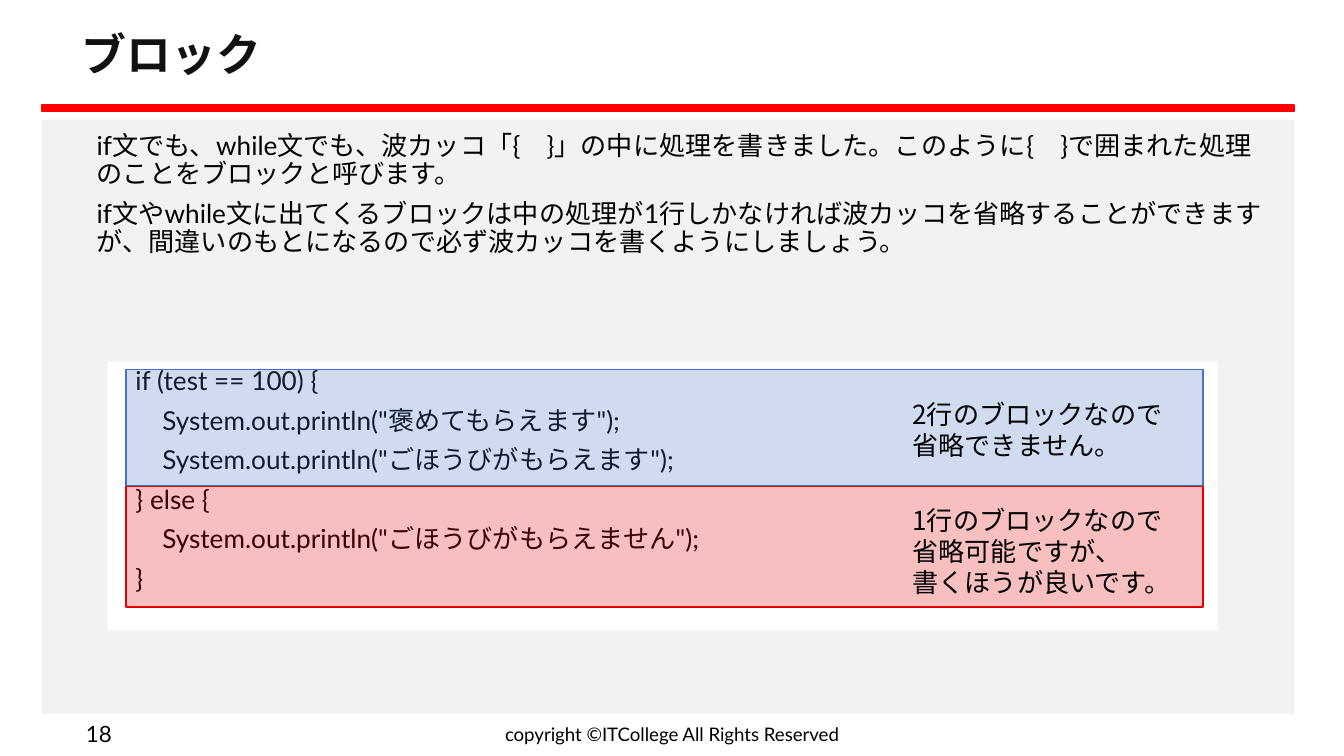
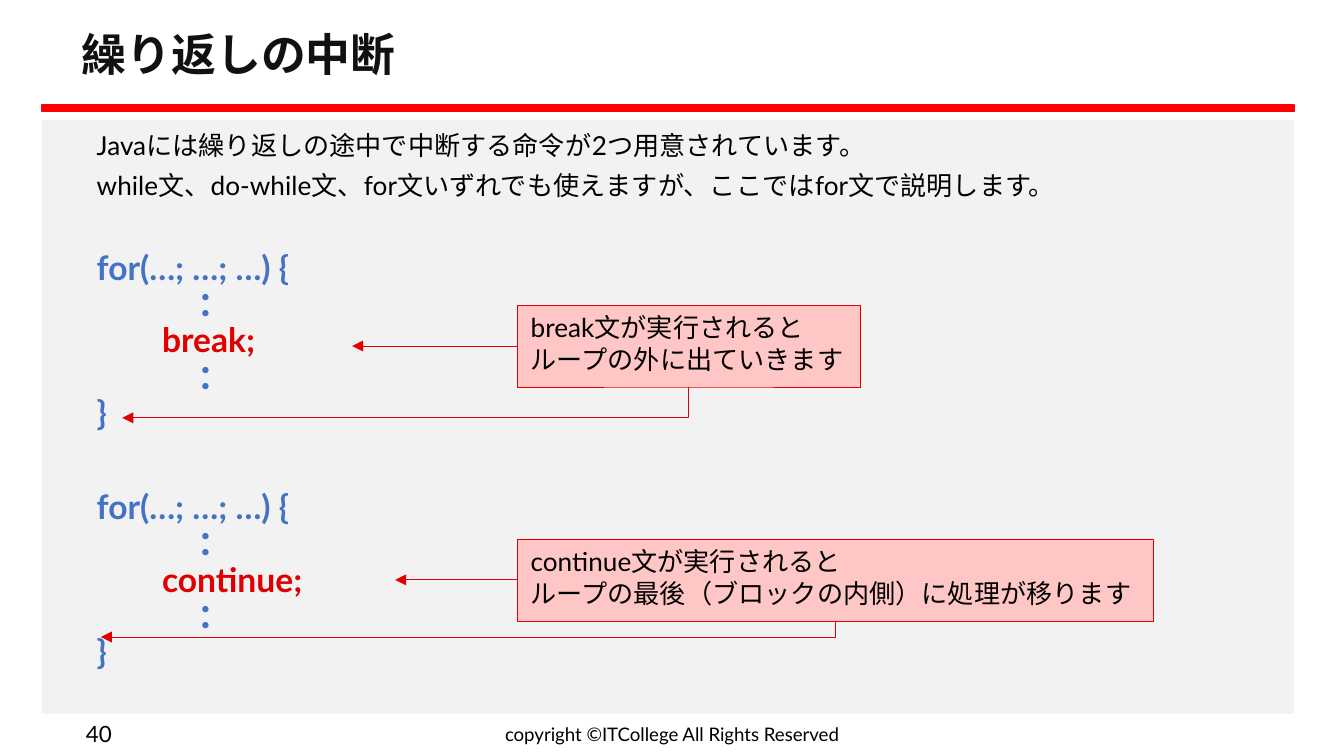
from lxml import etree
from pptx import Presentation
from pptx.dml.color import RGBColor
from pptx.enum.shapes import MSO_CONNECTOR, MSO_SHAPE
from pptx.enum.text import MSO_ANCHOR, MSO_AUTO_SIZE, PP_ALIGN
from pptx.oxml.ns import qn
from pptx.util import Inches, Pt

RECTANGLE = MSO_SHAPE.RECTANGLE
STRAIGHT, ELBOW = MSO_CONNECTOR.STRAIGHT, MSO_CONNECTOR.ELBOW
TOP, MIDDLE = MSO_ANCHOR.TOP, MSO_ANCHOR.MIDDLE
LEFT, CENTER, RIGHT = PP_ALIGN.LEFT, PP_ALIGN.CENTER, PP_ALIGN.RIGHT
NO_AUTOFIT = MSO_AUTO_SIZE.NONE

FONT, NOTE_FONT = "Lato", "Noto Sans CJK JP"
BLACK, WHITE, TITLE_INK = "000000", "FFFFFF", "111111"
BAND_RED, PANEL_GREY = "FF0000", "F2F2F2"
BLUE, RED, PINK = "4472C4", "E10000", "FFC6C6"
SIDE_LEFT = 1

BLOCK_TEXT = [
    "if文でも、while文でも、波カッコ「{　}」の中に処理を書きました。このように{　}で囲まれた処理のことをブロックと呼びます。",
    "if文やwhile文に出てくるブロックは中の処理が1行しかなければ波カッコを省略することができますが、間違いのもとになるので必ず波カッコを書くようにしましょう。",
]
BLOCK_CODE = [
    "if (test == 100) {",
    '    System.out.println("褒めてもらえます");',
    '    System.out.println("ごほうびがもらえます");',
    "} else {",
    '    System.out.println("ごほうびがもらえません");',
    "}",
]
LOOP_TEXT = [
    "Javaには繰り返しの途中で中断する命令が2つ用意されています。",
    "while文、do-while文、for文いずれでも使えますが、ここではfor文で説明します。",
]
LOOP_START = "for(…; …; …) {\n　　　：\n        "
LOOP_END = "　　　：\n}"


def rgb(value):
    """Turn a hex string into a colour."""
    return RGBColor.from_string(value)


def place(shape, left, top, width, height):
    """Move and size a shape, in inches."""
    shape.left, shape.top = Inches(left), Inches(top)
    shape.width, shape.height = Inches(width), Inches(height)


def style_run(run, size, color=BLACK, bold=False, font=FONT):
    """Set size, colour, weight and typefaces of a run."""
    run.font.size, run.font.bold = Pt(size), bold
    run.font.color.rgb = rgb(color)
    run.font.name = font
    etree.SubElement(run._r.get_or_add_rPr(), qn("a:ea")).set("typeface", FONT)


def write(frame, lines, size=14, color=BLACK, bold=False, font=FONT, align=LEFT,
          anchor=TOP, spacing=1.0, before=0, insets=(0.1, 0.05)):
    """Fill a text frame with evenly formatted paragraphs."""
    frame.text = "\n".join(lines)
    frame.word_wrap, frame.auto_size = True, NO_AUTOFIT
    frame.vertical_anchor = anchor
    frame.margin_left = frame.margin_right = Inches(insets[0])
    frame.margin_top = frame.margin_bottom = Inches(insets[1])
    for number, paragraph in enumerate(frame.paragraphs):
        paragraph.alignment, paragraph.line_spacing = align, spacing
        paragraph.space_before = Pt(before if number else 0)
        for run in paragraph.runs:
            style_run(run, size, color, bold, font)


def indent(paragraph):
    """Give a paragraph the shared left indent and no bullet."""
    properties = paragraph._p.get_or_add_pPr()
    properties.set("marL", str(Inches(0.11)))
    properties.set("indent", "0")
    etree.SubElement(properties, qn("a:buNone"))


def write_indented(frame, lines):
    """Write body or code paragraphs with the shared indent."""
    write(frame, lines, spacing=0.9, before=6)
    for paragraph in frame.paragraphs:
        indent(paragraph)


def add_box(slide, bounds, fill, line=None, weight=1, opacity=100):
    """Add a flat rectangle, optionally outlined or see-through."""
    box = slide.shapes.add_shape(RECTANGLE, *map(Inches, bounds))
    box.shadow.inherit = False
    box.fill.solid()
    box.fill.fore_color.rgb = rgb(fill)
    if opacity < 100:
        tint = box.element.spPr.find(qn("a:solidFill"))[0]
        etree.SubElement(tint, qn("a:alpha")).set("val", str(opacity * 1000))
    if line:
        box.line.color.rgb, box.line.width = rgb(line), Pt(weight)
    else:
        box.line.fill.background()
    return box


def add_label(slide, bounds, lines, **style):
    """Add a text box."""
    label = slide.shapes.add_textbox(*map(Inches, bounds))
    write(label.text_frame, lines, **style)


def add_arrow(slide, kind, begin, end, arrowhead):
    """Add a thin red connector with a triangle at one end."""
    arrow = slide.shapes.add_connector(kind, *map(Inches, begin + end))
    arrow.line.color.rgb, arrow.line.width = rgb(RED), Pt(0.5)
    properties = arrow.element.spPr
    etree.SubElement(properties.find(qn("a:ln")), qn(arrowhead)).set("type", "triangle")
    etree.SubElement(properties, qn("a:effectLst"))
    return arrow


def add_layout_bands(slide):
    """Place the grey panel and red rule behind everything on the layout."""
    panel = add_box(slide, (0.31, 0.89, 9.32, 4.42), PANEL_GREY)
    rule = add_box(slide, (0.31, 0.78, 9.32, 0.05), BAND_RED, BAND_RED)
    for position, band in enumerate((panel, rule), start=2):
        slide.slide_layout.shapes.element.insert(position, band.element)


def add_page(deck, title, number, body, body_height):
    """Add a slide with title, body text, copyright line and page number."""
    slide = deck.slides.add_slide(deck.slide_layouts[1])
    heading, content = slide.placeholders
    place(heading, 0.51, 0.13, 8.99, 0.59)
    write(heading.text_frame, [title], size=24, color=TITLE_INK, bold=True,
          anchor=MIDDLE, spacing=0.9, insets=(0.1, 0.1))
    place(content, 0.51, 0.94, 8.99, body_height)
    write_indented(content.text_frame, body)
    add_label(slide, (3.31, 5.32, 3.38, 0.28), ["copyright ©ITCollege All Rights Reserved"],
              size=10, align=CENTER, anchor=MIDDLE)
    add_label(slide, (0.24, 5.32, 0.69, 0.28), [str(number)],
              size=12, align=RIGHT, anchor=MIDDLE)
    return slide, content.text_frame


def add_code_part(listing, code, color):
    """Append coloured code, with a line break at each newline."""
    for number, line in enumerate(code.split("\n")):
        if number:
            listing.add_line_break()
        if line:
            run = listing.add_run()
            run.text = line
            style_run(run, 18, color, bold=True)


def add_loop_code(frame, statement, before):
    """Append a loop listing whose jump statement is red."""
    listing = frame.add_paragraph()
    listing.alignment, listing.line_spacing = LEFT, 0.9
    listing.space_before = Pt(before)
    indent(listing)
    add_code_part(listing, LOOP_START, BLUE)
    add_code_part(listing, statement + "\n", RED)
    add_code_part(listing, LOOP_END, BLUE)


def add_callout(slide, top, width, lines, statement_x, target):
    """Explain a jump: arrows to its statement and to where it leads."""
    left, height = 3.85, 0.61
    callout = add_box(slide, (left, top, width, height), PINK, RED, 0.25)
    write(callout.text_frame, lines)
    elbow = add_arrow(slide, ELBOW, target, (left + width / 2, top + height), "a:headEnd")
    elbow.element.spPr.find(qn("a:prstGeom")).set("prst", "bentConnector2")
    middle = top + height / 2
    pointer = add_arrow(slide, STRAIGHT, (left, middle), (statement_x, middle), "a:tailEnd")
    pointer.begin_connect(callout, SIDE_LEFT)


def build_block_slide(deck):
    """Build the slide about blocks."""
    slide, _ = add_page(deck, "ブロック", 18, BLOCK_TEXT, 1.03)
    add_layout_bands(slide)
    code = add_box(slide, (0.8, 2.69, 8.26, 2), WHITE)
    write_indented(code.text_frame, BLOCK_CODE)
    add_box(slide, (0.94, 2.75, 8.01, 0.87), BLUE, BLUE, opacity=25)
    add_label(slide, (6.69, 2.81, 2.17, 0.77),
              ["2行のブロックなので", "省略できません。"], font=NOTE_FONT, anchor=MIDDLE)
    add_box(slide, (0.94, 3.62, 8.01, 0.9), RED, RED, opacity=25)
    add_label(slide, (6.69, 3.7, 2.17, 0.75),
              ["1行のブロックなので", "省略可能ですが、", "書くほうが良いです。"], font=NOTE_FONT)


def build_loop_slide(deck):
    """Build the slide about leaving or skipping in a loop."""
    slide, body = add_page(deck, "繰り返しの中断", 40, LOOP_TEXT, 4.29)
    add_loop_code(body, "break;", 27)
    add_loop_code(body, "continue;", 31)
    add_callout(slide, 2.27, 2.55, ["break文が実行されると", "ループの外に出ていきます"],
                2.62, (0.91, 3.11))
    add_callout(slide, 4.01, 4.73,
                ["continue文が実行されると", "ループの最後（ブロックの内側）に処理が移ります"],
                2.94, (0.75, 4.74))


def main():
    """Build and save the deck."""
    deck = Presentation()
    deck.slide_width = Inches(10)
    deck.slide_height = deck.slide_width * 9 // 16
    build_block_slide(deck)
    build_loop_slide(deck)
    deck.save("out.pptx")


if __name__ == "__main__":
    main()
